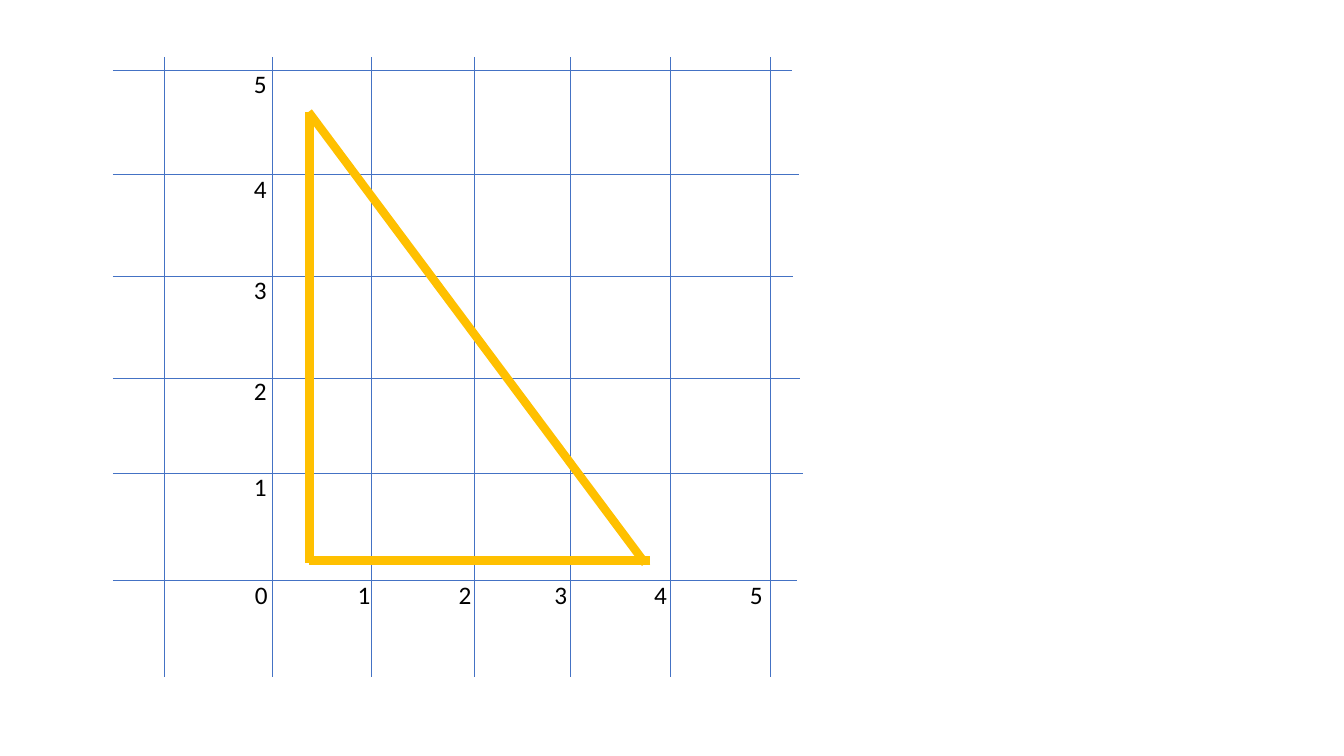
from typing import NamedTuple

from lxml.etree import SubElement
from pptx import Presentation
from pptx.dml.color import RGBColor
from pptx.enum.shapes import MSO_CONNECTOR
from pptx.enum.text import MSO_AUTO_SIZE
from pptx.oxml.ns import qn
from pptx.slide import Slide
from pptx.util import Inches, Pt

GRID_BLUE = RGBColor(0x44, 0x72, 0xC4)
TRIANGLE_GOLD = RGBColor(0xFF, 0xC0, 0x00)
BLACK = RGBColor(0x00, 0x00, 0x00)

GRID_TOP, GRID_BOTTOM, GRID_LEFT = 0.57, 6.72, 1.12
LABEL_WIDTH, LABEL_HEIGHT = 0.33, 0.4


class Segment(NamedTuple):
    x1: float
    y1: float
    x2: float
    y2: float


class Label(NamedTuple):
    text: str
    left: float
    top: float


# Hand-placed grid: x of each vertical; y and right end of each horizontal
COLUMNS = [1.63, 2.7, 3.68, 4.7, 5.66, 6.65, 7.64]
ROWS = [(0.7, 7.86), (1.73, 7.92), (2.74, 7.87),
        (3.75, 7.93), (4.7, 7.96), (5.76, 7.9)]
GRID = [Segment(x, GRID_TOP, x, GRID_BOTTOM) for x in COLUMNS]
GRID += [Segment(GRID_LEFT, y, right, y) for y, right in ROWS]

TRIANGLE = [
    Segment(3.07, 1.11, 3.07, 5.59),
    Segment(6.45, 5.56, 3.06, 5.56),
    Segment(3.06, 1.11, 6.4, 5.59),
]

# Axis numbers: 0 to 5 along the bottom, 1 to 5 up the side
LABELS = [Label(str(number), left, 5.7)
          for number, left in enumerate([2.43, 3.45, 4.45, 5.4, 6.39, 7.34])]
LABELS += [Label(str(number), 2.42, top)
           for number, top in enumerate([4.63, 3.67, 2.67, 1.67, 0.63], start=1)]


def draw_segment(page: Slide, segment: Segment, color: RGBColor, width: float) -> None:
    connector = page.shapes.add_connector(
        MSO_CONNECTOR.STRAIGHT, *(Inches(value) for value in segment))
    connector.line.color.rgb = color
    connector.line.width = Pt(width)
    SubElement(connector._element.spPr, qn("a:effectLst"))


def draw_label(page: Slide, label: Label) -> None:
    box = page.shapes.add_textbox(Inches(label.left), Inches(label.top),
                                  Inches(LABEL_WIDTH), Inches(LABEL_HEIGHT))
    box.text_frame.word_wrap = False
    box.text_frame.auto_size = MSO_AUTO_SIZE.SHAPE_TO_FIT_TEXT
    para = box.text_frame.paragraphs[0]
    para.text = label.text
    para.font.name = "Calibri"
    para.font.size = Pt(18)
    para.font.color.rgb = BLACK


def main() -> None:
    deck = Presentation()
    deck.slide_width, deck.slide_height = Inches(13.33), Inches(7.5)
    page = deck.slides.add_slide(deck.slide_layouts[6])

    # Grid, then the triangle over it, then the numbers
    for segment in GRID:
        draw_segment(page, segment, GRID_BLUE, 0.5)
    for side in TRIANGLE:
        draw_segment(page, side, TRIANGLE_GOLD, 6)
    for label in LABELS:
        draw_label(page, label)

    deck.save("out.pptx")


if __name__ == "__main__":
    main()
